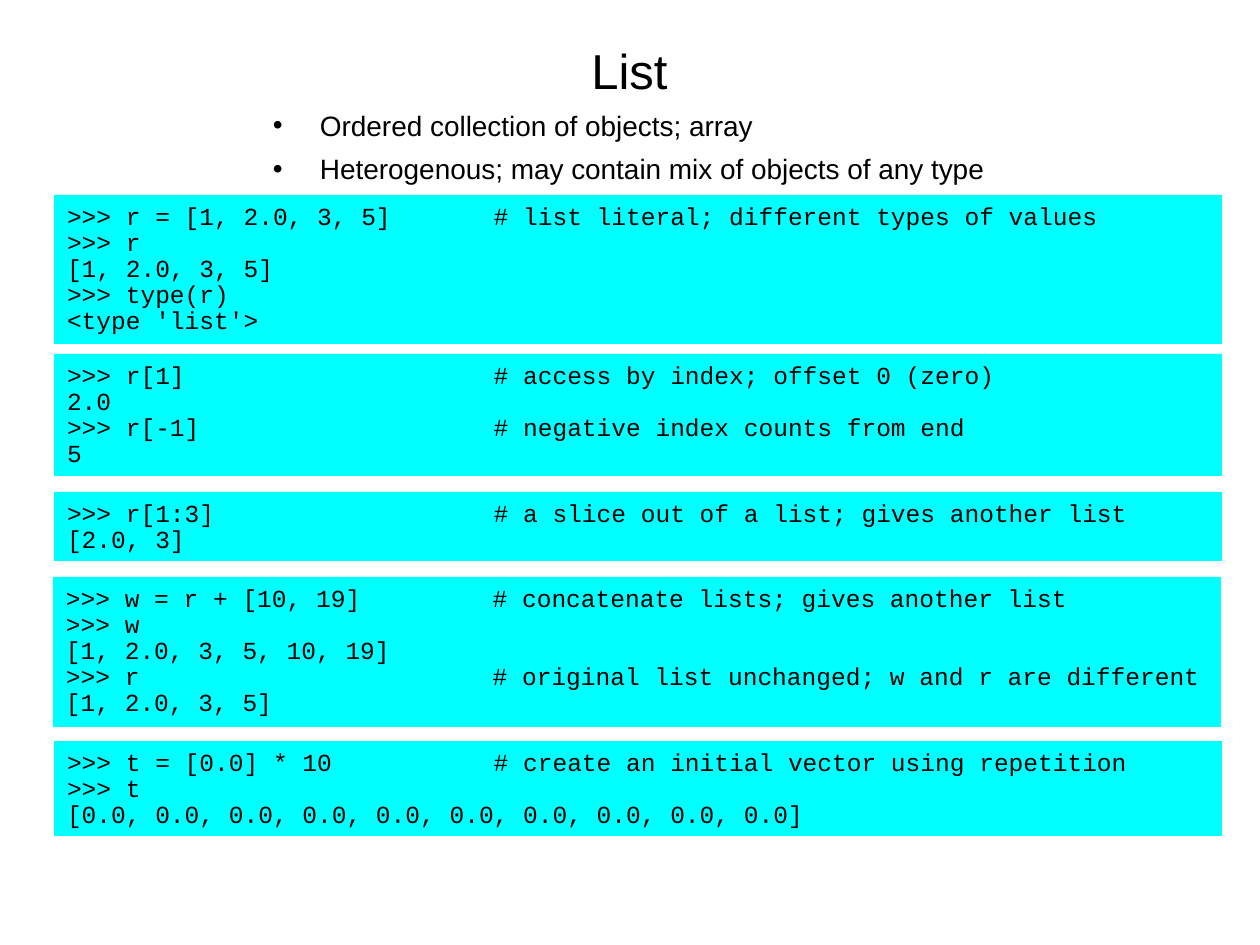
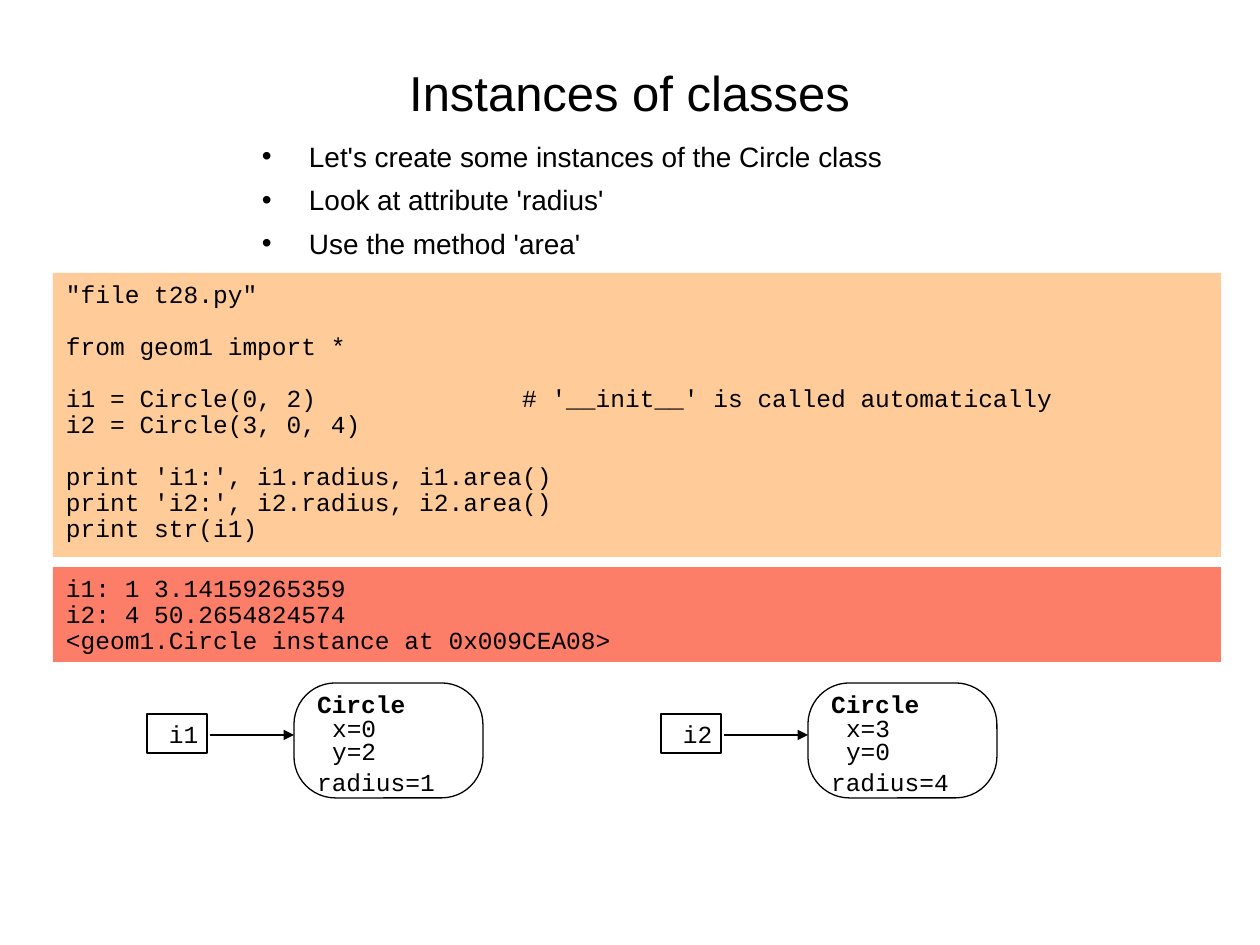
from lxml import etree
from pptx import Presentation
from pptx.dml.color import RGBColor
from pptx.enum.shapes import MSO_CONNECTOR, MSO_SHAPE
from pptx.enum.text import MSO_ANCHOR, MSO_AUTO_SIZE, PP_ALIGN
from pptx.oxml.ns import qn
from pptx.util import Emu, Pt

RECTANGLE = MSO_SHAPE.RECTANGLE
ROUNDED = MSO_SHAPE.ROUNDED_RECTANGLE
STRAIGHT = MSO_CONNECTOR.STRAIGHT
TOP, MIDDLE = MSO_ANCHOR.TOP, MSO_ANCHOR.MIDDLE
LEFT, CENTER = PP_ALIGN.LEFT, PP_ALIGN.CENTER
NO_AUTOFIT = MSO_AUTO_SIZE.NONE

EMU_PER_PX = 914400 / 126
SLIDE_WIDTH, SLIDE_HEIGHT = 1260, 945
PANEL_WIDTH = 1168
TITLE_ONLY = 5

COLORS = {
    "ink": "000000",
    "session": "00FFFF",
    "file": "FFCC99",
    "output": "FC7D68",
}
BODY_FONT, CODE_FONT = "Arial", "Courier New"


def px(length):
    return Emu(round(length * EMU_PER_PX))


def color(name):
    return RGBColor.from_string(COLORS[name])


class Deck:
    """Holds the shared style and the slide being filled."""

    def __init__(self):
        self.presentation = Presentation()
        self.presentation.slide_width = px(SLIDE_WIDTH)
        self.presentation.slide_height = px(SLIDE_HEIGHT)
        self.slide = None

    def style(self, paragraph, font, size, spacing, align=LEFT, bold=False):
        paragraph.alignment = align
        paragraph.line_spacing = spacing
        for run in paragraph.runs:
            run.font.name = font
            run.font.size = Pt(size)
            run.font.bold = bold
            run.font.color.rgb = color("ink")

    def frame(self, shape, anchor=TOP, left=0, top=0):
        text_frame = shape.text_frame
        text_frame.word_wrap = True
        text_frame.auto_size = NO_AUTOFIT
        text_frame.vertical_anchor = anchor
        text_frame.margin_left, text_frame.margin_top = px(left), px(top)
        text_frame.margin_right = text_frame.margin_bottom = 0
        return text_frame

    def new_slide(self, title, top, height):
        layout = self.presentation.slide_layouts[TITLE_ONLY]
        self.slide = self.presentation.slides.add_slide(layout)
        shape = self.slide.shapes.title
        shape.left, shape.top = px(94), px(top)
        shape.width, shape.height = px(1071), px(height)
        text_frame = self.frame(shape, MIDDLE)
        text_frame.text = title
        self.style(text_frame.paragraphs[0], BODY_FONT, 28, 1.04, CENTER)

    def bullets(self, left, top, width, height, items):
        shape = self.slide.shapes.add_textbox(px(left), px(top), px(width), px(height))
        text_frame = self.frame(shape)
        text_frame.text = "\n".join(items)
        for index, paragraph in enumerate(text_frame.paragraphs):
            properties = paragraph._p.get_or_add_pPr()
            properties.set("marL", str(px(47)))
            properties.set("indent", str(px(-47)))
            etree.SubElement(properties, qn("a:buFont"), typeface=BODY_FONT)
            etree.SubElement(properties, qn("a:buChar"), char="•")
            if index:
                paragraph.space_before = Pt(4.9)
            self.style(paragraph, BODY_FONT, 16, 1.04)

    def box(self, kind, left, top, width, height, fill=None):
        shape = self.slide.shapes.add_shape(kind, px(left), px(top), px(width), px(height))
        shape.shadow.inherit = False
        if fill:
            shape.fill.solid()
            shape.fill.fore_color.rgb = color(fill)
            shape.line.fill.background()
        else:
            shape.fill.background()
            shape.line.color.rgb = color("ink")
            shape.line.width = Pt(0.75)
        return shape

    def code(self, left, top, height, fill, source):
        panel = self.box(RECTANGLE, left, top, PANEL_WIDTH, height, fill)
        text_frame = self.frame(panel, left=13, top=9)
        text_frame.text = source
        for paragraph in text_frame.paragraphs:
            self.style(paragraph, CODE_FONT, 14, Pt(14.9))

    def arrow(self, start_x, end_x, y):
        connector = self.slide.shapes.add_connector(
            STRAIGHT, px(start_x), px(y), px(end_x), px(y))
        connector.line.color.rgb = color("ink")
        connector.line.width = Pt(0.75)
        line = connector.line._get_or_add_ln()
        etree.SubElement(line, qn("a:tailEnd"), type="triangle")
        etree.SubElement(connector._element.spPr, qn("a:effectLst"))

    def instance(self, left, name, fields):
        """A variable box with an arrow to the object it refers to."""
        variable = self.box(RECTANGLE, left, 714, 60, 39)
        text_frame = self.frame(variable, MIDDLE, left=22)
        text_frame.text = name
        self.style(text_frame.paragraphs[0], CODE_FONT, 14, 1)
        self.arrow(left + 63, left + 147, 735)

        circle = self.box(ROUNDED, left + 147, 683, 189, 115)
        circle.adjustments[0] = 0.36
        text_frame = self.frame(circle, left=11)
        text_frame.text = "\n".join(["Circle", *fields])
        heading, *coordinates, radius = text_frame.paragraphs
        for paragraph in text_frame.paragraphs:
            self.style(paragraph, CODE_FONT, 14, Pt(13.5), bold=paragraph._p is heading._p)
        for paragraph in coordinates:
            paragraph._p.get_or_add_pPr().set("marL", str(px(15)))
        radius.space_before = Pt(4)


# Interpreter sessions: left, top, height, source
LIST_SESSIONS = [
    (54, 195, 149, """>>> r = [1, 2.0, 3, 5]       # list literal; different types of values
>>> r
[1, 2.0, 3, 5]
>>> type(r)
<type 'list'>"""),
    (54, 354, 122, """>>> r[1]                     # access by index; offset 0 (zero)
2.0
>>> r[-1]                    # negative index counts from end
5"""),
    (54, 492, 69, """>>> r[1:3]                   # a slice out of a list; gives another list
[2.0, 3]"""),
    (53, 577, 150, """>>> w = r + [10, 19]         # concatenate lists; gives another list
>>> w
[1, 2.0, 3, 5, 10, 19]
>>> r                        # original list unchanged; w and r are different
[1, 2.0, 3, 5]"""),
    (54, 741, 95, """>>> t = [0.0] * 10           # create an initial vector using repetition
>>> t
[0.0, 0.0, 0.0, 0.0, 0.0, 0.0, 0.0, 0.0, 0.0, 0.0]"""),
]

CIRCLE_FILE = """"file t28.py"

from geom1 import *

i1 = Circle(0, 2)              # '__init__' is called automatically
i2 = Circle(3, 0, 4)

print 'i1:', i1.radius, i1.area()
print 'i2:', i2.radius, i2.area()
print str(i1)"""

CIRCLE_OUTPUT = """i1: 1 3.14159265359
i2: 4 50.2654824574
<geom1.Circle instance at 0x009CEA08>"""


def build_list_slide(deck):
    deck.new_slide("List", 38, 62)
    deck.bullets(273, 107, 735, 79, [
        "Ordered collection of objects; array",
        "Heterogenous; may contain mix of objects of any type",
    ])
    for left, top, height, source in LIST_SESSIONS:
        deck.code(left, top, height, "session", source)


def build_instances_slide(deck):
    deck.new_slide("Instances of classes", 55, 72)
    deck.bullets(262, 138, 756, 126, [
        "Let's create some instances of the Circle class",
        "Look at attribute 'radius'",
        "Use the method 'area'",
    ])
    deck.code(53, 273, 284, "file", CIRCLE_FILE)
    deck.code(53, 567, 95, "output", CIRCLE_OUTPUT)
    # Objects in memory
    deck.instance(147, "i1", ["x=0", "y=2", "radius=1"])
    deck.instance(661, "i2", ["x=3", "y=0", "radius=4"])


def main():
    deck = Deck()
    build_list_slide(deck)
    build_instances_slide(deck)
    deck.presentation.save("out.pptx")


if __name__ == "__main__":
    main()
